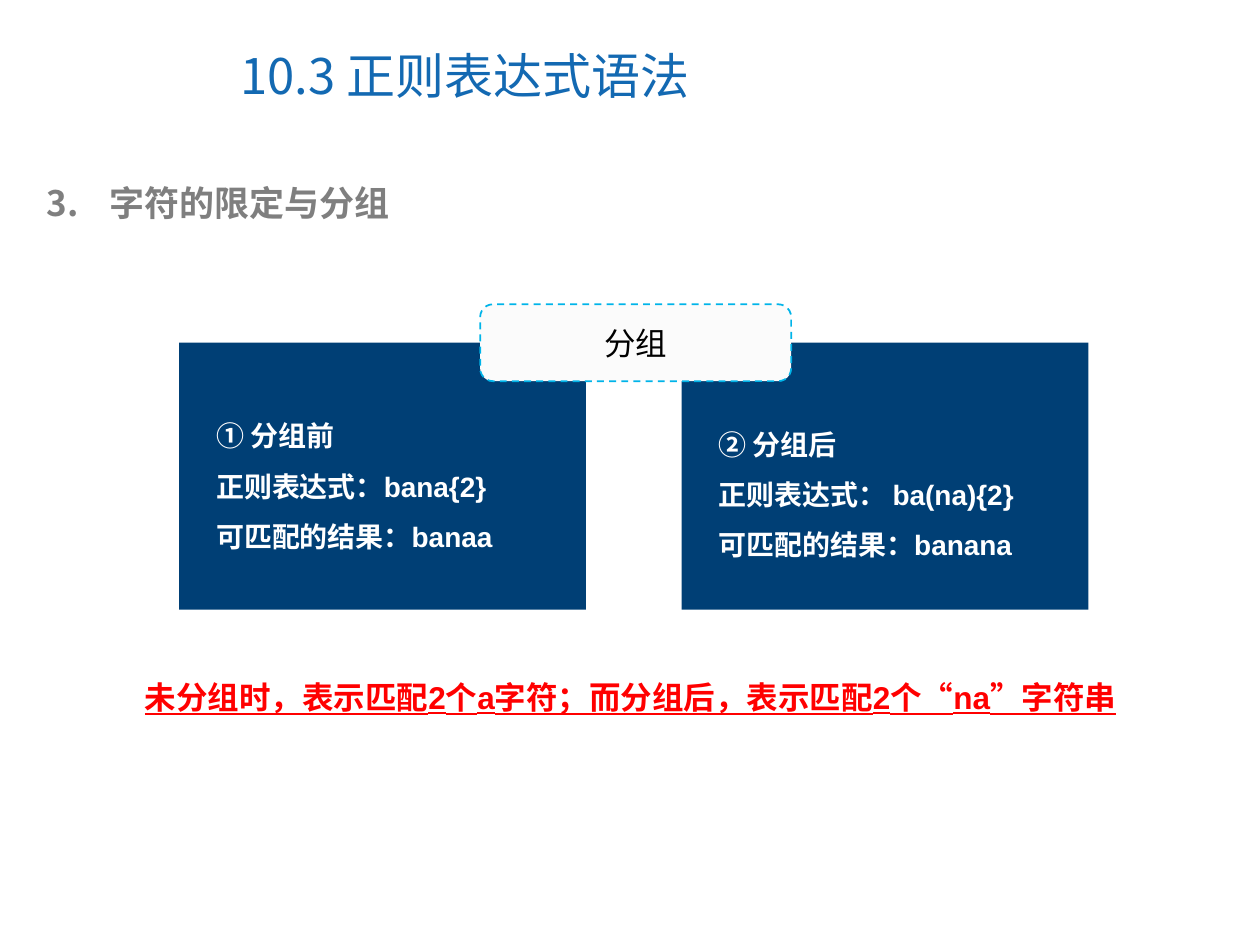
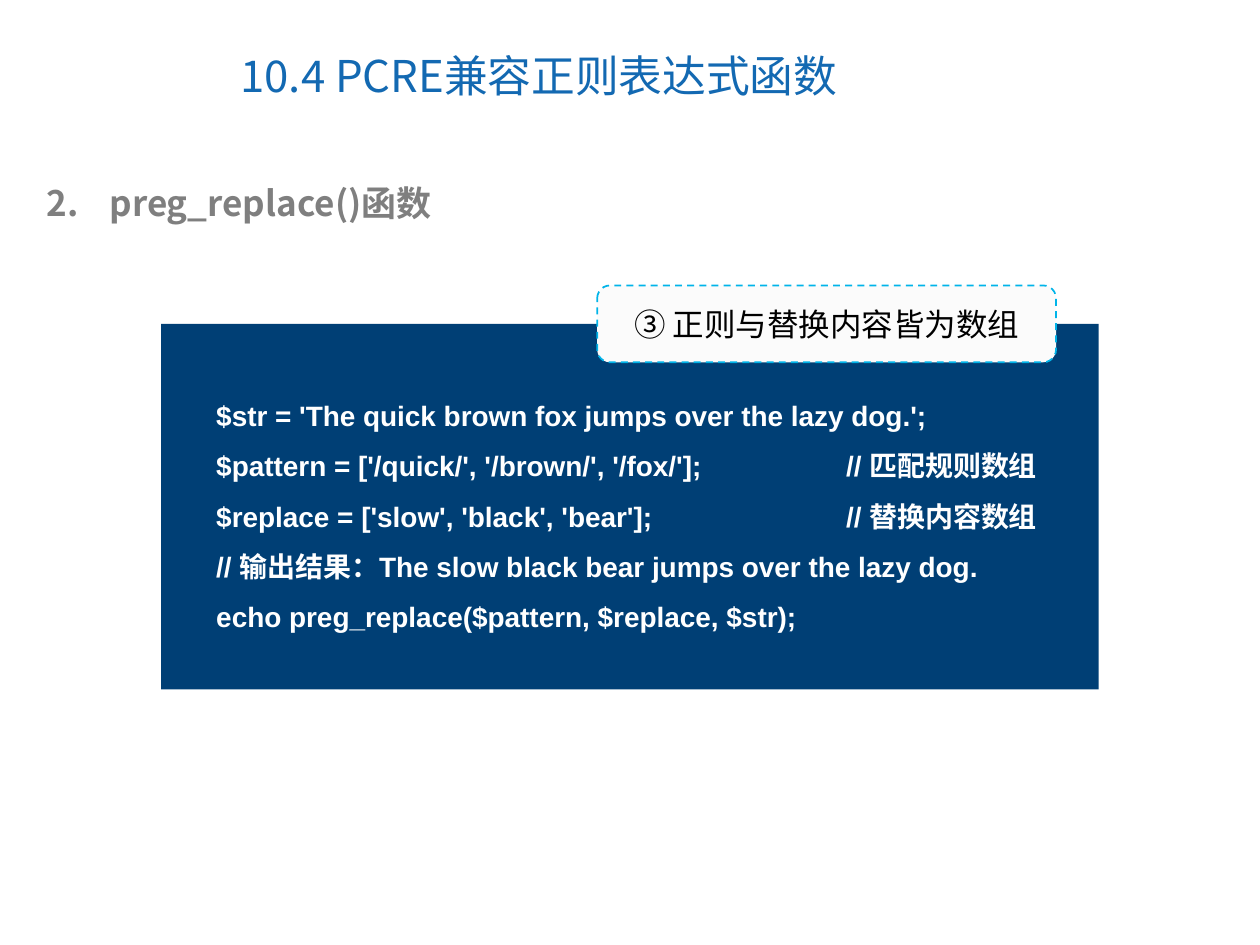
from lxml.etree import SubElement
from pptx import Presentation
from pptx.dml.color import RGBColor
from pptx.enum.dml import MSO_LINE
from pptx.enum.shapes import MSO_SHAPE
from pptx.enum.text import MSO_ANCHOR, PP_ALIGN
from pptx.oxml.ns import qn
from pptx.util import Cm, Pt

# Shared colours, fonts and sizes
TITLE_BLUE = RGBColor(0x13, 0x69, 0xB2)
HEADING_GREY = RGBColor(0x7F, 0x7F, 0x7F)
PANEL_NAVY = RGBColor(0x00, 0x3F, 0x75)
TAG_FILL = RGBColor(0xFB, 0xFB, 0xFB)
TAG_BORDER = RGBColor(0x00, 0xB4, 0xE9)
WHITE = RGBColor(0xFF, 0xFF, 0xFF)
BLACK = RGBColor(0x00, 0x00, 0x00)
RED = RGBColor(0xFF, 0x00, 0x00)
CHINESE_FONT = "Noto Sans CJK SC"
LATIN_FONT = "Arial"
TAG_HEIGHT = 1.55
PANEL_TEXT_LEFT = 4.11
COMMENT_TAB = Cm(12.7)


def style_paragraph(paragraph, size, color, name=LATIN_FONT, bold=False):
    font = paragraph.font
    font.size = Pt(size)
    font.bold = bold
    font.color.rgb = color
    font.name = name
    defaults = paragraph._p.get_or_add_pPr().find(qn("a:defRPr"))
    SubElement(defaults, qn("a:ea"), typeface=CHINESE_FONT)


def add_text(slide, left, top, width, height, lines):
    box = slide.shapes.add_textbox(Cm(left), Cm(top), Cm(width), Cm(height))
    frame = box.text_frame
    frame.word_wrap = True
    frame.text = "\n".join(lines)
    return frame


def add_box(slide, preset, left, top, width, height, fill):
    shape = slide.shapes.add_shape(preset, Cm(left), Cm(top), Cm(width), Cm(height))
    shape.shadow.inherit = False
    shape.fill.solid()
    shape.fill.fore_color.rgb = fill
    shape.line.fill.background()
    return shape


def add_title(slide, text, size):
    frame = add_text(slide, 4.6, 0.43, 13.11, 2.16, [text])
    frame.vertical_anchor = MSO_ANCHOR.MIDDLE
    style_paragraph(frame.paragraphs[0], size, TITLE_BLUE, CHINESE_FONT)


def add_numbered_heading(slide, number, text):
    paragraph = add_text(slide, 0.69, 3.53, 23.42, 1.12, [text]).paragraphs[0]
    properties = paragraph._p.get_or_add_pPr()
    properties.set("marL", str(Cm(1.27)))
    properties.set("indent", str(-Cm(1.27)))
    bullet_color = SubElement(properties, qn("a:buClr"))
    SubElement(bullet_color, qn("a:srgbClr"), val=str(HEADING_GREY))
    SubElement(properties, qn("a:buFont"), typeface=CHINESE_FONT)
    SubElement(properties, qn("a:buAutoNum"), type="arabicPeriod", startAt=str(number))
    style_paragraph(paragraph, 20, HEADING_GREY, CHINESE_FONT, bold=True)


def add_panel(slide, left, top, width, height):
    add_box(slide, MSO_SHAPE.RECTANGLE, left, top, width, height, PANEL_NAVY)


def add_panel_text(slide, left, top, width, height, lines):
    for paragraph in add_text(slide, left, top, width, height, lines).paragraphs:
        paragraph.line_spacing = 1.5
        tabs = SubElement(paragraph._p.get_or_add_pPr(), qn("a:tabLst"))
        SubElement(tabs, qn("a:tab"), pos=str(COMMENT_TAB), algn="l")
        style_paragraph(paragraph, 16, WHITE, bold=True)


def add_tag(slide, left, panel_top, width, text):
    """Dashed label centred on the top edge of a panel."""
    top = panel_top - TAG_HEIGHT / 2
    tag = add_box(slide, MSO_SHAPE.ROUNDED_RECTANGLE, left, top, width, TAG_HEIGHT, TAG_FILL)
    tag.line.color.rgb = TAG_BORDER
    tag.line.width = Pt(1)
    tag.line.dash_style = MSO_LINE.DASH
    frame = tag.text_frame
    frame.text = text
    frame.vertical_anchor = MSO_ANCHOR.MIDDLE
    frame.paragraphs[0].alignment = PP_ALIGN.CENTER
    style_paragraph(frame.paragraphs[0], 18, BLACK)


def add_conclusion(slide, text):
    paragraph = add_text(slide, 2.67, 13.54, 21.29, 1.02, [text]).paragraphs[0]
    style_paragraph(paragraph, 18, RED, bold=True)
    paragraph.font.underline = True


def add_lesson_slide(presentation, title, title_size, number, heading):
    slide = presentation.slides.add_slide(presentation.slide_layouts[6])
    add_title(slide, title, title_size)
    add_numbered_heading(slide, number, heading)
    return slide


def build_grouping_slide(presentation):
    slide = add_lesson_slide(presentation, "10.3 正则表达式语法", 28, 3, "字符的限定与分组")
    panel_top = 6.91
    panel_step = 10.13
    # Text top and lines of each panel, left to right
    comparisons = [
        (7.98, ["① 分组前", "正则表达式：bana{2}", "可匹配的结果：banaa"]),
        (8.15, ["② 分组后", "正则表达式： ba(na){2}", "可匹配的结果：banana"]),
    ]
    for column, (text_top, lines) in enumerate(comparisons):
        offset = column * panel_step
        add_panel(slide, 3.61 + offset, panel_top, 8.2, 5.38)
        add_panel_text(slide, PANEL_TEXT_LEFT + offset, text_top, 7.7, 3.3, lines)
    add_tag(slide, 9.68, panel_top, 6.27, "分组")
    add_conclusion(slide, "未分组时，表示匹配2个a字符；而分组后，表示匹配2个“na”字符串")


def build_replace_slide(presentation):
    slide = add_lesson_slide(
        presentation, "10.4 PCRE兼容正则表达式函数", 25, 2, "preg_replace()函数")
    panel_top = 6.53
    add_panel(slide, 3.25, panel_top, 18.9, 7.37)
    add_panel_text(slide, PANEL_TEXT_LEFT, 7.57, 18.52, 5.33, [
        "$str = 'The quick brown fox jumps over the lazy dog.';",
        "$pattern = ['/quick/', '/brown/', '/fox/'];\t// 匹配规则数组",
        "$replace = ['slow', 'black', 'bear'];\t// 替换内容数组",
        "// 输出结果：The slow black bear jumps over the lazy dog.",
        "echo preg_replace($pattern, $replace, $str);",
    ])
    add_tag(slide, 12.04, panel_top, 9.25, "③ 正则与替换内容皆为数组")


def main():
    presentation = Presentation()
    presentation.slide_width = Cm(25.4)
    presentation.slide_height = Cm(19.05)
    build_grouping_slide(presentation)
    build_replace_slide(presentation)
    presentation.save("out.pptx")


if __name__ == "__main__":
    main()
